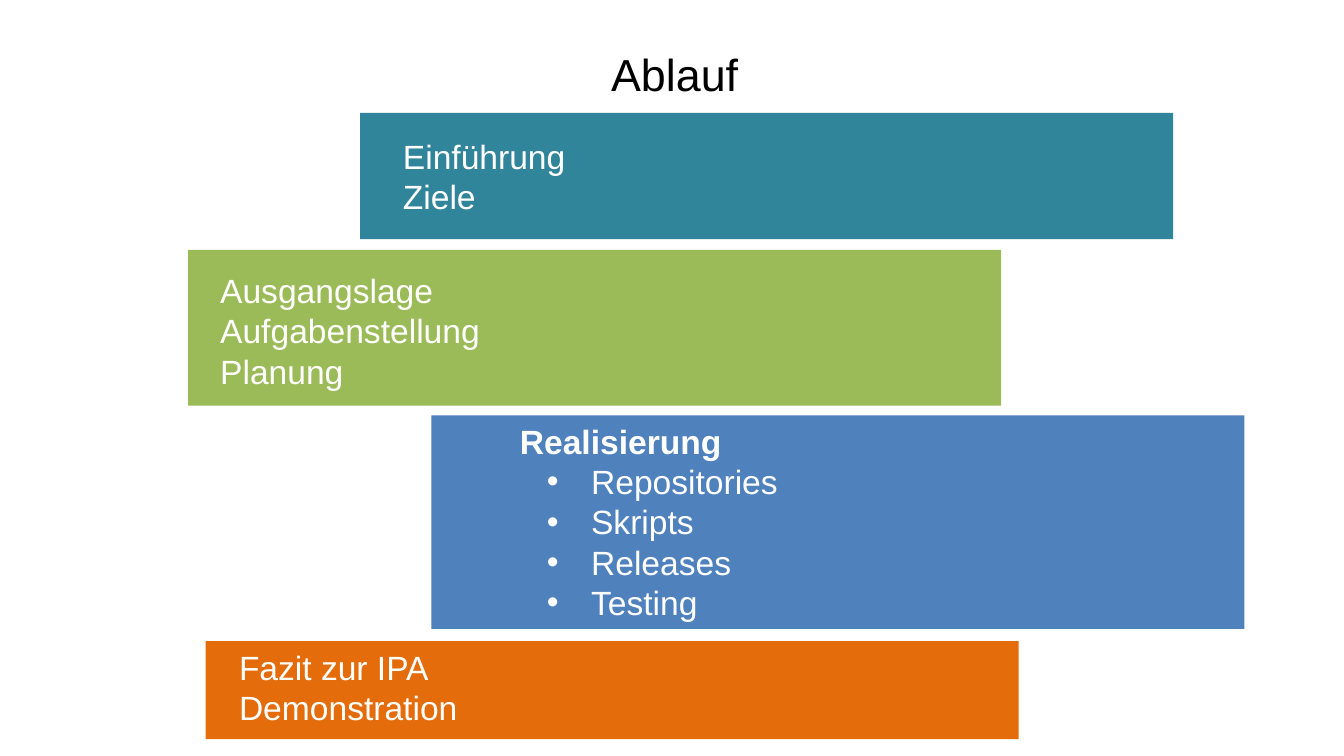
import pptx
import pptx.util
import pptx.dml.color
import pptx.enum.shapes
import pptx.enum.text
import pptx.oxml.ns
import lxml.etree

Inches = pptx.util.Inches
ALIGN = pptx.enum.text.PP_ALIGN
COLORS = {"teal": "31859B", "green": "9BBB59", "blue": "4F81BD",
          "orange": "E46C0A", "white": "FFFFFF", "black": "000000"}
BAND_WIDTH = 6.05
TITLE = "Ablauf"
BANDS = [
    {"color": "teal", "left": 2.68, "top": 0.84, "height": 0.94,
     "text_box": (2.4, 0.9, 6.04, 0.82), "lines": ["Einführung", "Ziele"]},
    {"color": "green", "left": 1.4, "top": 1.86, "height": 1.16,
     "text_box": (1.04, 1.86, 6, 1.2),
     "lines": ["Ausgangslage", "Aufgabenstellung", "Planung"]},
    {"color": "orange", "left": 1.53, "top": 4.77, "height": 0.73,
     "text_box": (1.18, 4.69, 6.05, 0.84),
     "lines": ["Fazit zur IPA", "Demonstration"]},
    {"color": "blue", "left": 3.21, "top": 3.09, "height": 1.59,
     "text_box": (2.92, 3.09, 7.37, 1.58), "heading": "Realisierung",
     "bullets": ["Repositories", "Skripts", "Releases", "Testing"]},
]


def rgb(name):
    return pptx.dml.color.RGBColor.from_string(COLORS[name])


def write_text(paragraph, text, size=18, color="white", bold=False,
               align=ALIGN.LEFT, indent=0.5, hanging=0, level=0, bullet=None):
    paragraph.alignment = align
    paragraph.level = level
    paragraph.line_spacing = 1.0
    paragraph.space_before = paragraph.space_after = pptx.util.Pt(0)
    run = paragraph.add_run()
    run.text = text
    run.font.name = "Arial"
    run.font.size = pptx.util.Pt(size)
    run.font.bold = bold
    run.font.color.rgb = rgb(color)
    properties = paragraph._p.get_or_add_pPr()
    properties.set("marL", str(Inches(indent)))
    properties.set("indent", str(Inches(-hanging)))
    qn = pptx.oxml.ns.qn
    if bullet:
        bullet_color = lxml.etree.SubElement(properties, qn("a:buClr"))
        lxml.etree.SubElement(bullet_color, qn("a:srgbClr"), val=COLORS[color])
        lxml.etree.SubElement(properties, qn("a:buFont"), typeface="Arial")
        lxml.etree.SubElement(properties, qn("a:buChar"), char=bullet)
    else:
        lxml.etree.SubElement(properties, qn("a:buNone"))


def add_band(slide, band):
    bounds = (band["left"], band["top"], BAND_WIDTH, band["height"])
    shape = slide.shapes.add_shape(
        pptx.enum.shapes.MSO_SHAPE.RECTANGLE, *map(Inches, bounds))
    shape.shadow.inherit = False
    shape.fill.solid()
    shape.fill.fore_color.rgb = rgb(band["color"])
    shape.line.fill.background()

    entries = [(line, {}) for line in band.get("lines", [])]
    if "heading" in band:
        entries.append((band["heading"], {"bold": True, "indent": 0.85}))
    entries += [(line, {"indent": 1.38, "hanging": 0.33, "level": 2, "bullet": "•"})
                for line in band.get("bullets", [])]
    frame = slide.shapes.add_textbox(*map(Inches, band["text_box"])).text_frame
    frame.word_wrap = True
    frame.vertical_anchor = pptx.enum.text.MSO_ANCHOR.MIDDLE
    for index, (line, text_format) in enumerate(entries):
        paragraph = frame.add_paragraph() if index else frame.paragraphs[0]
        write_text(paragraph, line, **text_format)


def main():
    presentation = pptx.Presentation()
    presentation.slide_width = Inches(10)
    presentation.slide_height = presentation.slide_width * 9 // 16
    slide = presentation.slides.add_slide(presentation.slide_layouts[5])

    title = slide.shapes.title
    title.left, title.top, title.width, title.height = map(Inches, (0.02, 0.3, 10, 0.58))
    title.text_frame.vertical_anchor = pptx.enum.text.MSO_ANCHOR.TOP
    write_text(title.text_frame.paragraphs[0], TITLE, size=24, color="black",
               align=ALIGN.CENTER, indent=0)

    for band in BANDS:
        add_band(slide, band)
    presentation.save("out.pptx")


if __name__ == "__main__":
    main()
